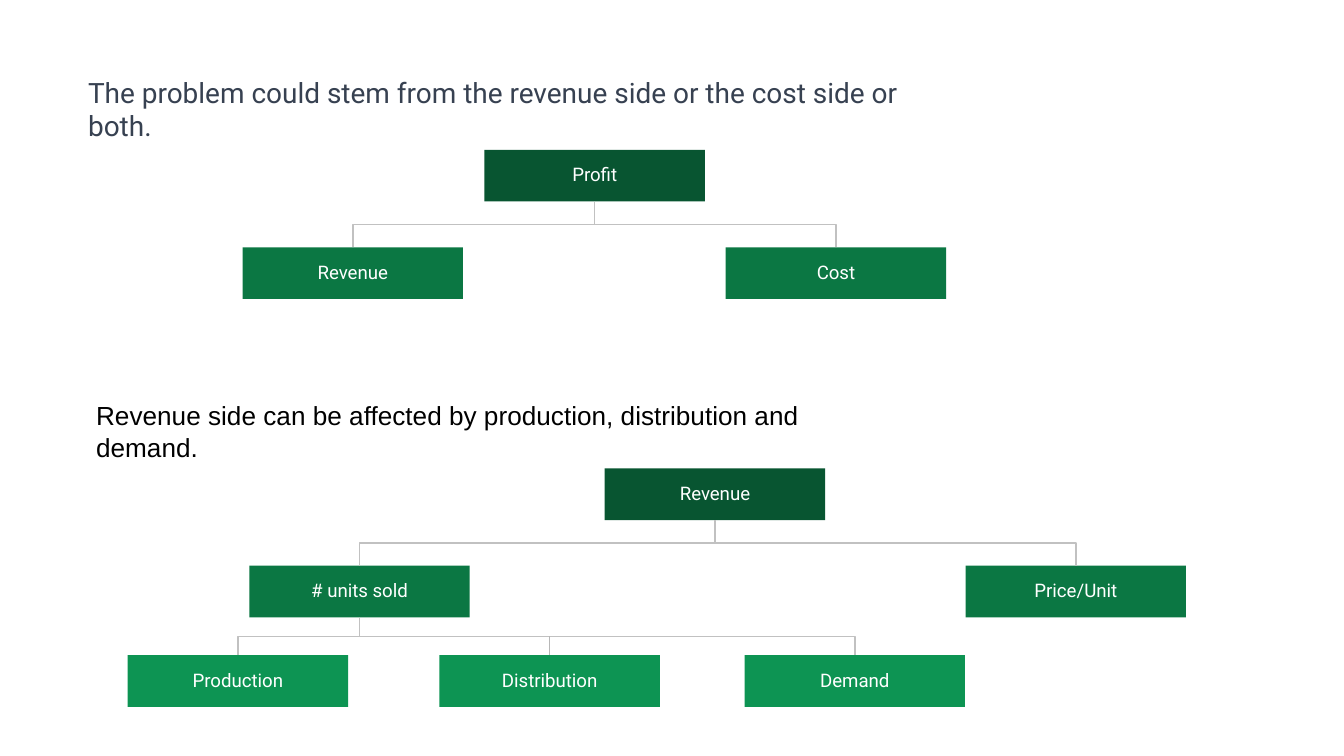
from dataclasses import dataclass
from lxml.etree import SubElement
from pptx import Presentation
from pptx.dml.color import RGBColor
from pptx.enum.shapes import MSO_CONNECTOR, MSO_SHAPE
from pptx.enum.text import MSO_ANCHOR, MSO_AUTO_SIZE, PP_ALIGN
from pptx.oxml.ns import qn
from pptx.util import Pt

PX = 4572  # 200 px to the inch
WIDE, HIGH = 328, 77


@dataclass
class Theme:
    ink = "374151"
    black = "000000"
    white = "FFFFFF"
    levels = ("085531", "0B7743", "0D9453")
    line = "C1C1C1"
    drop = "B7B7B7"
    font = "Roboto"
    plain = "Arial"
    head = 15
    body = 14
    label = 10
    rule = 0.75


theme = Theme()


def write(shape, text, size, font, color, align, top):
    """Fill a shape with one styled paragraph."""
    frame = shape.text_frame
    frame.text = text
    form = {"word_wrap": True, "auto_size": MSO_AUTO_SIZE.SHAPE_TO_FIT_TEXT,
            "vertical_anchor": MSO_ANCHOR.TOP, "margin_left": 0,
            "margin_right": 0, "margin_bottom": 0, "margin_top": top * PX}
    for key, value in form.items():
        setattr(frame, key, value)
    para = frame.paragraphs[0]
    para.alignment = align
    for key, value in {"size": Pt(size), "name": font, "bold": False}.items():
        setattr(para.font, key, value)
    para.font.color.rgb = RGBColor.from_string(color)


deck = Presentation()
deck.slide_width, deck.slide_height = 2000 * PX, 1125 * PX
slide = deck.slides.add_slide(deck.slide_layouts[5])
shapes = slide.shapes

# Title and second statement
title = shapes.title
place = {"left": 131, "top": 110, "width": 1227, "height": 56}
for key, value in place.items():
    setattr(title, key, value * PX)
write(title, "The problem could stem from the revenue side or the cost side or both.",
      theme.head, theme.font, theme.ink, PP_ALIGN.LEFT, 2)
note = shapes.add_textbox(143 * PX, 593 * PX, 1207 * PX, 52 * PX)
write(note, "Revenue side can be affected by production, distribution and demand.",
      theme.body, theme.plain, theme.black, PP_ALIGN.LEFT, 2)

# Boxes of both trees: key, label, level, left, top
nodes = [
    ("profit", "Proﬁt", 0, 721, 223),
    ("income", "Revenue", 1, 361, 368),
    ("cost", "Cost", 1, 1080, 368),
    ("revenue", "Revenue", 0, 900, 697),
    ("units", "# units sold", 1, 371, 842),
    ("price", "Price/Unit", 1, 1437, 842),
    ("output", "Production", 2, 190, 975),
    ("spread", "Distribution", 2, 654, 975),
    ("demand", "Demand", 2, 1108, 975),
]
boxes, spots = {}, {}
for key, label, level, left, top in nodes:
    box = shapes.add_shape(MSO_SHAPE.RECTANGLE, left * PX, top * PX, WIDE * PX, HIGH * PX)
    box.shadow.inherit = False
    box.fill.solid()
    box.fill.fore_color.rgb = RGBColor.from_string(theme.levels[level])
    box.line.fill.background()
    write(box, label, theme.label, theme.font, theme.white, PP_ALIGN.CENTER, 20)
    boxes[key] = box
    spots[key] = (left + WIDE // 2, top)

# Forks from each parent down to its outer children
forks = [("profit", "income", "cost"), ("revenue", "units", "price"),
         ("units", "output", "demand")]
for root, *kids in forks:
    x, y = spots[root][0], spots[root][1] + HIGH
    pen = shapes.build_freeform(x, y, scale=PX)
    for kid in kids:
        end, low = spots[kid]
        mid = (y + low) // 2
        pen.move_to(x, y)
        pen.add_line_segments([(x, mid), (end, mid), (end, low)], close=False)
    fork = pen.convert_to_shape()
    fork.shadow.inherit = False
    fork.fill.background()
    fork.line.color.rgb = RGBColor.from_string(theme.line)
    fork.line.width = Pt(theme.rule)

# Straight drop to the middle child, from the bar of the last fork
x, low = spots["spread"]
drop = shapes.add_connector(MSO_CONNECTOR.STRAIGHT, x * PX, mid * PX, x * PX, low * PX)
drop.end_connect(boxes["spread"], 0)
drop.line.color.rgb = RGBColor.from_string(theme.drop)
drop.line.width = Pt(theme.rule)
SubElement(drop._element.spPr, qn("a:effectLst"))

deck.save("out.pptx")
